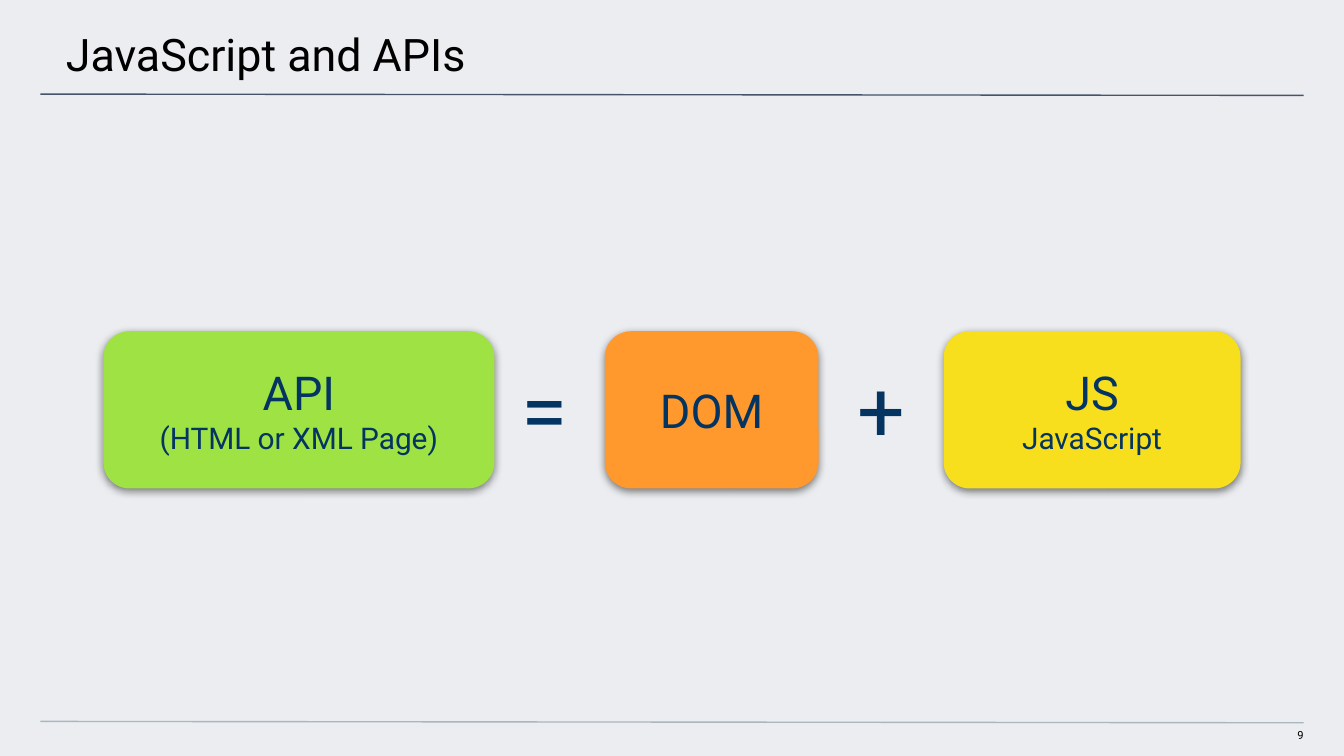
from dataclasses import dataclass

from lxml import etree
from pptx import Presentation
from pptx.dml.color import RGBColor
from pptx.enum import shapes, text
from pptx.oxml import ns
from pptx.util import Pt


@dataclass(frozen=True)
class Theme:
    font: str = "Roboto"
    background: str = "EBEDF0"
    ink: str = "000000"
    navy: str = "043461"
    header_rule: str = "44546A"
    footer_rule: str = "A9B7C0"
    green: str = "9EE244"
    orange: str = "FF992D"
    yellow: str = "F7DF1D"
    title: float = 24
    term: float = 25
    detail: float = 16
    operator: float = 45
    page_number: float = 6


THEME = Theme()
MIDDLE = 219.6  # vertical centre of the equation
TERM_HEIGHT = 84.24
OPERATOR_WIDTH, OPERATOR_HEIGHT = 64.8, 69.12


def rgb(code):
    return RGBColor.from_string(code)


def write(frame, lines, color, align, insets=(7.2, 7.2, 7.2, 7.2)):
    """Fill a text frame with (wording, size) lines; insets run left, top, right, bottom."""
    frame.word_wrap = True
    (frame.margin_left, frame.margin_top,
     frame.margin_right, frame.margin_bottom) = map(Pt, insets)
    for index, (wording, size) in enumerate(lines):
        paragraph = frame.add_paragraph() if index else frame.paragraphs[0]
        paragraph.text = wording
        paragraph.alignment = align
        paragraph.font.name = THEME.font
        paragraph.font.size = Pt(size)
        paragraph.font.color.rgb = rgb(color)


def add_label(slide, box, wording, size, color, align, **layout):
    label = slide.shapes.add_textbox(*map(Pt, box))
    write(label.text_frame, [(wording, size)], color, align, **layout)


def add_rule(slide, top, color):
    rule = slide.shapes.add_connector(
        shapes.MSO_CONNECTOR.STRAIGHT, Pt(21.6), Pt(top), Pt(698.4), Pt(top + 0.72))
    rule.line.color.rgb = rgb(color)
    rule.line.width = Pt(0.75)
    etree.SubElement(rule._element.spPr, ns.qn("a:effectLst"))


def add_soft_shadow(shape):
    shape.shadow.inherit = False
    effects = shape._element.spPr.find(ns.qn("a:effectLst"))
    shadow = etree.SubElement(
        effects, ns.qn("a:outerShdw"), blurRad=str(Pt(4.5)), dist=str(Pt(1.5)),
        dir="5400000", algn="bl", rotWithShape="0")
    black = etree.SubElement(shadow, ns.qn("a:srgbClr"), val="000000")
    etree.SubElement(black, ns.qn("a:alpha"), val="50000")


def add_term(slide, left, width, fill, name, detail=None):
    card = slide.shapes.add_shape(
        shapes.MSO_SHAPE.ROUNDED_RECTANGLE, Pt(left), Pt(MIDDLE - TERM_HEIGHT / 2),
        Pt(width), Pt(TERM_HEIGHT))
    card.fill.solid()
    card.fill.fore_color.rgb = rgb(fill)
    card.line.fill.background()
    add_soft_shadow(card)
    card.text_frame.vertical_anchor = text.MSO_ANCHOR.MIDDLE
    lines = [(name, THEME.term)]
    if detail:
        lines.append((detail, THEME.detail))
    write(card.text_frame, lines, THEME.navy, text.PP_ALIGN.CENTER)


def add_operator(slide, left, symbol):
    box = (left, MIDDLE - 0.7 - OPERATOR_HEIGHT / 2, OPERATOR_WIDTH, OPERATOR_HEIGHT)
    add_label(slide, box, symbol, THEME.operator, THEME.navy, text.PP_ALIGN.CENTER)


def main():
    deck = Presentation()
    deck.slide_width, deck.slide_height = Pt(720), Pt(405)
    slide = deck.slides.add_slide(deck.slide_layouts[6])
    slide.background.fill.solid()
    slide.background.fill.fore_color.rgb = rgb(THEME.background)

    add_label(slide, (677.5, 390.2, 20.9, 8.6), "9", THEME.page_number, THEME.ink,
              text.PP_ALIGN.RIGHT, insets=(0, 0, 0, 7.2))
    add_rule(slide, 50.4, THEME.header_rule)
    add_rule(slide, 386.5, THEME.footer_rule)
    add_label(slide, (-0.7, 0, 722, 41.8), "JavaScript and APIs", THEME.title, THEME.ink,
              text.PP_ALIGN.LEFT, insets=(36, 14.4, 21.6, 7.2))

    add_term(slide, 55.4, 209.5, THEME.green, "API", "(HTML or XML Page)")
    add_term(slide, 324, 114.5, THEME.orange, "DOM")
    add_term(slide, 505.5, 159.1, THEME.yellow, "JS", "JavaScript")
    add_operator(slide, 439.9, "+")
    add_operator(slide, 259.2, "=")

    deck.save("out.pptx")


if __name__ == "__main__":
    main()
